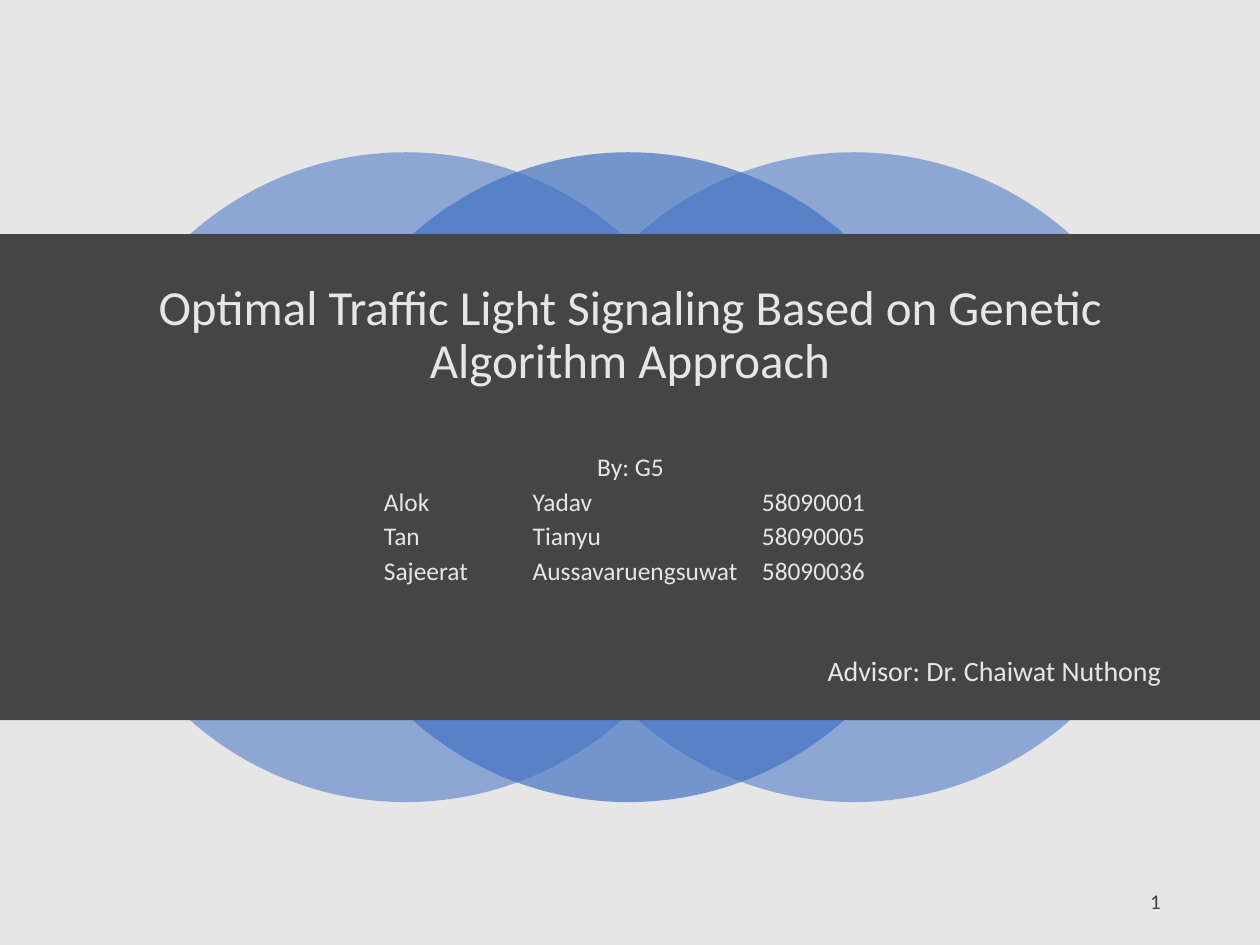
"""Build the title slide of a traffic light project with overlapping circles behind a dark band."""
from lxml import etree
from pptx import Presentation
from pptx import util as u
from pptx.dml.color import RGBColor
from pptx.enum import shapes, text
from pptx.oxml import ns

COLORS = {"light": "E7E6E6", "dark": "454545", "circle": "4472C4", "number": "404040"}
FONT = "Calibri"
WIDTH, HEIGHT = 25.4, 19.05
DIAMETER = 13.1
CIRCLES = [(1.63, 55), (10.67, 55), (6.12, 70)]
TAB_STOPS = [3, 7.62]
MEMBERS = [
    ("Alok", "Yadav", "58090001"),
    ("Tan", "Tianyu", "58090005"),
    ("Sajeerat", "Aussavaruengsuwat", "58090036"),
]


def add_filled(slide, kind, box, color, opacity=100):
    """Add a borderless shape with a solid, optionally transparent fill."""
    figure = slide.shapes.add_shape(kind, *map(u.Cm, box))
    figure.shadow.inherit = False
    figure.line.fill.background()
    figure.fill.solid()
    figure.fill.fore_color.rgb = RGBColor.from_string(COLORS[color])
    if opacity < 100:
        tone = figure.fill._xPr.find(".//" + ns.qn("a:srgbClr"))
        etree.SubElement(tone, ns.qn("a:alpha"), val=str(opacity * 1000))


def add_words(slide, box, lines, size, align, color="light", spacing=1.0, before=0,
              anchor=text.MSO_ANCHOR.TOP):
    """Add a wrapped text box and return its paragraphs."""
    frame = slide.shapes.add_textbox(*map(u.Cm, box)).text_frame
    frame.word_wrap = True
    frame.vertical_anchor = anchor
    frame.text = "\n".join(lines)
    for paragraph in frame.paragraphs:
        paragraph.alignment = align
        paragraph.line_spacing = spacing
        paragraph.space_before = u.Pt(before)
        for run in paragraph.runs:
            run.font.name = FONT
            run.font.size = u.Pt(size)
            run.font.color.rgb = RGBColor.from_string(COLORS[color])
    return frame.paragraphs


def set_tabs(paragraph):
    """Left-align a member row on the shared tab stops."""
    paragraph.alignment = text.PP_ALIGN.LEFT
    stops = etree.SubElement(paragraph._p.get_or_add_pPr(), ns.qn("a:tabLst"))
    for stop in TAB_STOPS:
        etree.SubElement(stops, ns.qn("a:tab"), pos=str(u.Cm(stop)), algn="l")


def main():
    """Compose and save the slide."""
    deck = Presentation()
    deck.slide_width, deck.slide_height = u.Cm(WIDTH), u.Cm(HEIGHT)
    slide = deck.slides.add_slide(deck.slide_layouts[6])
    slide.background.fill.solid()
    slide.background.fill.fore_color.rgb = RGBColor.from_string(COLORS["dark"])
    kinds, align, middle = shapes.MSO_SHAPE, text.PP_ALIGN, text.MSO_ANCHOR.MIDDLE

    add_filled(slide, kinds.RECTANGLE, (0, 0, WIDTH, HEIGHT), "light")
    for left, opacity in CIRCLES:
        add_filled(slide, kinds.OVAL, (left, 3.07, DIAMETER, DIAMETER), "circle", opacity)
    add_filled(slide, kinds.RECTANGLE, (0, 4.72, WIDTH, 9.8), "dark")

    add_words(slide, (1.75, 5.54, 21.9, 2.46),
              ["Optimal Traffic Light Signaling Based on Genetic Algorithm Approach"],
              28, align.CENTER, spacing=0.9, anchor=middle)
    rows = ["By: G5"] + ["\t".join(member) for member in MEMBERS]
    authors = add_words(slide, (7.49, 9.14, 10.44, 2.79), rows, 14.5, align.CENTER,
                        spacing=0.7, before=7.5)
    for member_row in authors[1:]:
        set_tabs(member_row)
    add_words(slide, (17.93, 17.65, 5.72, 1.02), ["1"], 12, align.RIGHT, "number",
              anchor=middle)
    add_words(slide, (16.03, 13.18, 8.03, 0.84), ["Advisor: Dr. Chaiwat Nuthong"],
              16, align.CENTER, spacing=0.8, before=7.5)
    deck.save("out.pptx")


if __name__ == "__main__":
    main()
